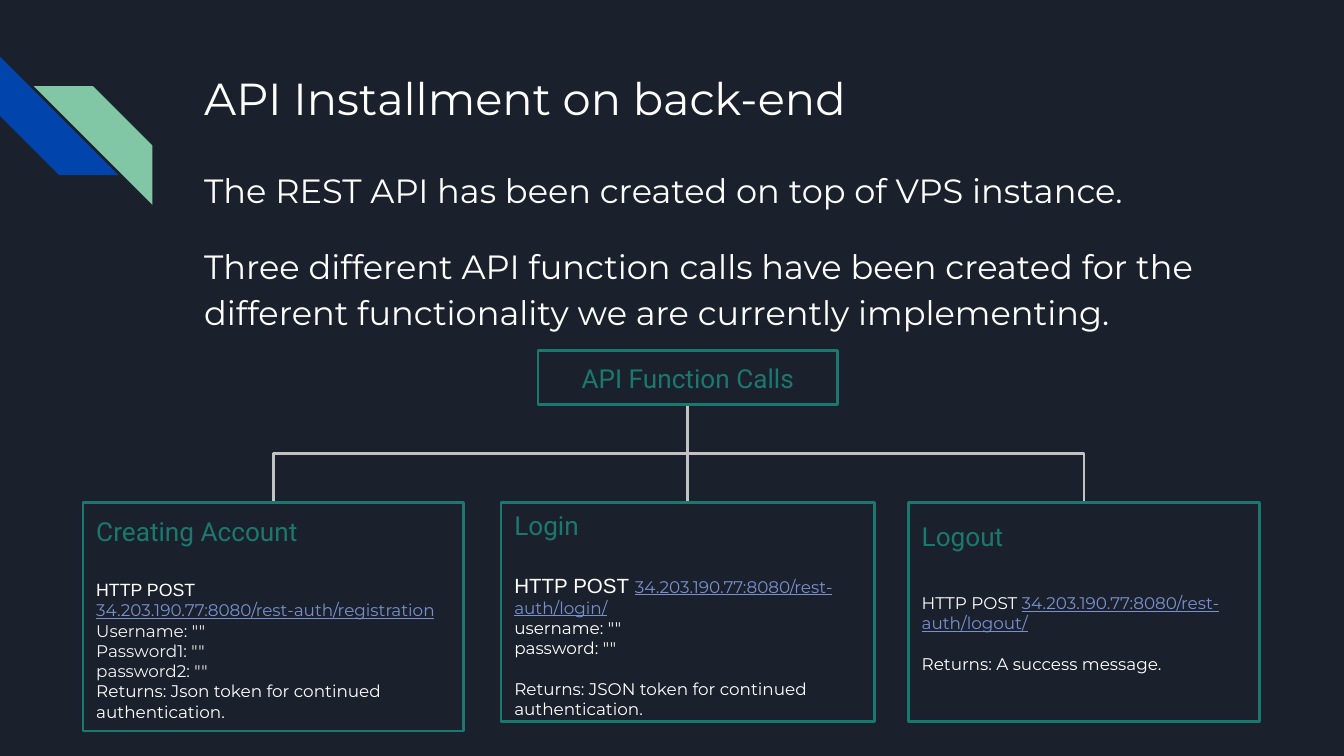
from pptx import Presentation
from pptx.dml.color import RGBColor
from pptx.enum.shapes import MSO_CONNECTOR, MSO_SHAPE
from pptx.enum.text import MSO_ANCHOR, PP_ALIGN
from pptx.oxml.ns import qn
from pptx.util import Cm, Pt
from lxml import etree

RECT, STRIPE = MSO_SHAPE.RECTANGLE, MSO_SHAPE.DIAGONAL_STRIPE
ELBOW, STRAIGHT = MSO_CONNECTOR.ELBOW, MSO_CONNECTOR.STRAIGHT
TOP, MIDDLE = MSO_ANCHOR.TOP, MSO_ANCHOR.MIDDLE
LEFT, CENTER = PP_ALIGN.LEFT, PP_ALIGN.CENTER

NIGHT = RGBColor(0x1B, 0x21, 0x2C)
BLUE = RGBColor(0x01, 0x45, 0xAC)
MINT = RGBColor(0x82, 0xC7, 0xA5)
TEAL = RGBColor(0x1B, 0x78, 0x6E)
GREY = RGBColor(0xC2, 0xC2, 0xC2)
LINK = RGBColor(0x78, 0x90, 0xCD)
PALE = RGBColor(0xF3, 0xF3, 0xF3)
WHITE = RGBColor(0xFF, 0xFF, 0xFF)
MONT, ROBOTO, ARIAL = "Montserrat", "Roboto", "Arial"

TITLE = "API Installment on back-end"
BODY = [
    (0, "The REST API has been created on top of VPS instance."),
    (16, "Three different API function calls have been created for the "
         "different functionality we are currently implementing."),
]
ROOT = "API Function Calls"
HOST = "34.203.190.77:8080/rest-auth/"
CALLS = [
    dict(name="Creating Account", left=1.57, wide=7.19, high=4.32,
         inset=0.25, gap=17, verb=(ARIAL, 9.5), link="registration",
         rows=[(0, 'Username: ""', PALE), (0, 'Password1: ""', PALE),
               (0, 'password2: ""', PALE),
               (0, "Returns: Json token for continued authentication.", WHITE)]),
    dict(name="Login", left=9.47, wide=7.06, high=4.14,
         inset=0.13, gap=17, verb=(ARIAL, 11), link="login/",
         rows=[(0, 'username: ""', WHITE), (0, 'password: ""', WHITE),
               (11, "Returns: JSON token for continued authentication.", WHITE)]),
    dict(name="Logout", left=17.17, wide=6.63, high=4.14,
         inset=0.34, gap=22, verb=(MONT, 9), link="logout/",
         rows=[(11, "Returns: A success message.", WHITE)]),
]
STRIPES = [(0, 1.07, 270, BLUE), (0.64, 1.63, 90, MINT)]
ROOT_TOP, ROOT_HIGH, ROOT_WIDE = 6.63, 1.02, 5.66
MID, CALL_TOP = 13, 9.5

deck = Presentation()
deck.slide_width, deck.slide_height = Cm(25.4), Cm(14.29)
slide = deck.slides.add_slide(deck.slide_layouts[5])
slide.background.fill.solid()
slide.background.fill.fore_color.rgb = NIGHT
shapes = slide.shapes


def setup(frame, anchor, inset=0.25):
    frame.word_wrap = True
    frame.vertical_anchor = anchor
    frame.margin_left = frame.margin_right = frame.margin_bottom = Cm(0.25)
    frame.margin_top = Cm(inset)


def write(frame, lines, align=LEFT, pitch=1.0):
    for i, (gap, runs) in enumerate(lines):
        para = frame.add_paragraph() if i else frame.paragraphs[0]
        para.alignment = align
        para.line_spacing = pitch
        para.space_before = Pt(gap)
        for text, face, size, color in runs:
            run = para.add_run()
            run.text = text
            run.font.name = face
            run.font.size = Pt(size)
            run.font.color.rgb = color
            if color == LINK:
                run.font.underline = True


def frame_box(left, top, wide, high):
    box = shapes.add_shape(RECT, Cm(left), Cm(top), Cm(wide), Cm(high))
    box.shadow.inherit = False
    box.fill.background()
    box.line.color.rgb = TEAL
    box.line.width = Pt(1.5)
    return box.text_frame


def wire(kind, x1, y1, x2, y2):
    line = shapes.add_connector(kind, Cm(x1), Cm(y1), Cm(x2), Cm(y2))
    line.line.color.rgb = GREY
    line.line.width = Pt(1.5)
    props = line._element.spPr
    etree.SubElement(props, qn("a:effectLst"))
    return props.find(qn("a:xfrm"))


def branch(end):
    start = ROOT_TOP + ROOT_HIGH
    drop, span = CALL_TOP - start, abs(end - MID)
    x, y = (MID + end - drop) / 2, (start + CALL_TOP - span) / 2
    form = wire(ELBOW, x, y, x + drop, y + span)
    if end > MID:
        form.set("rot", "16200000")
        form.set("flipH", "1")
    else:
        form.set("rot", "5400000")


for left, top, turn, color in STRIPES:
    band = shapes.add_shape(STRIPE, Cm(left), Cm(top), Cm(2.24), Cm(2.24))
    band.shadow.inherit = False
    band.rotation = turn
    band.fill.solid()
    band.fill.fore_color.rgb = color
    band.line.fill.background()

title = shapes.title
title.left, title.top, title.width, title.height = Cm(3.61), Cm(1.09), Cm(19.56), Cm(2.54)
setup(title.text_frame, TOP)
write(title.text_frame, [(0, [(TITLE, MONT, 24, WHITE)])])

body = shapes.add_textbox(Cm(3.61), Cm(2.84), Cm(19.56), Cm(10.82)).text_frame
setup(body, TOP)
write(body, [(gap, [(text, MONT, 18, WHITE)]) for gap, text in BODY], pitch=1.15)

for call in CALLS:
    hub = call["left"] + call["wide"] / 2
    if abs(hub - MID) < 0.1:
        wire(STRAIGHT, MID, 8.6, MID, CALL_TOP)
    else:
        branch(hub)

root = frame_box(MID - ROOT_WIDE / 2, ROOT_TOP, ROOT_WIDE, ROOT_HIGH)
setup(root, MIDDLE)
write(root, [(0, [(ROOT, ROBOTO, 14, TEAL)])], CENTER)

for call in CALLS:
    card = frame_box(call["left"], CALL_TOP, call["wide"], call["high"])
    setup(card, TOP, call["inset"])
    head = (0, [(call["name"], ROBOTO, 14, TEAL)])
    post = (call["gap"], [("HTTP POST ", *call["verb"], WHITE),
                          (HOST + call["link"], MONT, 9, LINK)])
    rows = [(gap, [(text, MONT, 9, color)]) for gap, text, color in call["rows"]]
    write(card, [head, post, *rows])

deck.save("out.pptx")
